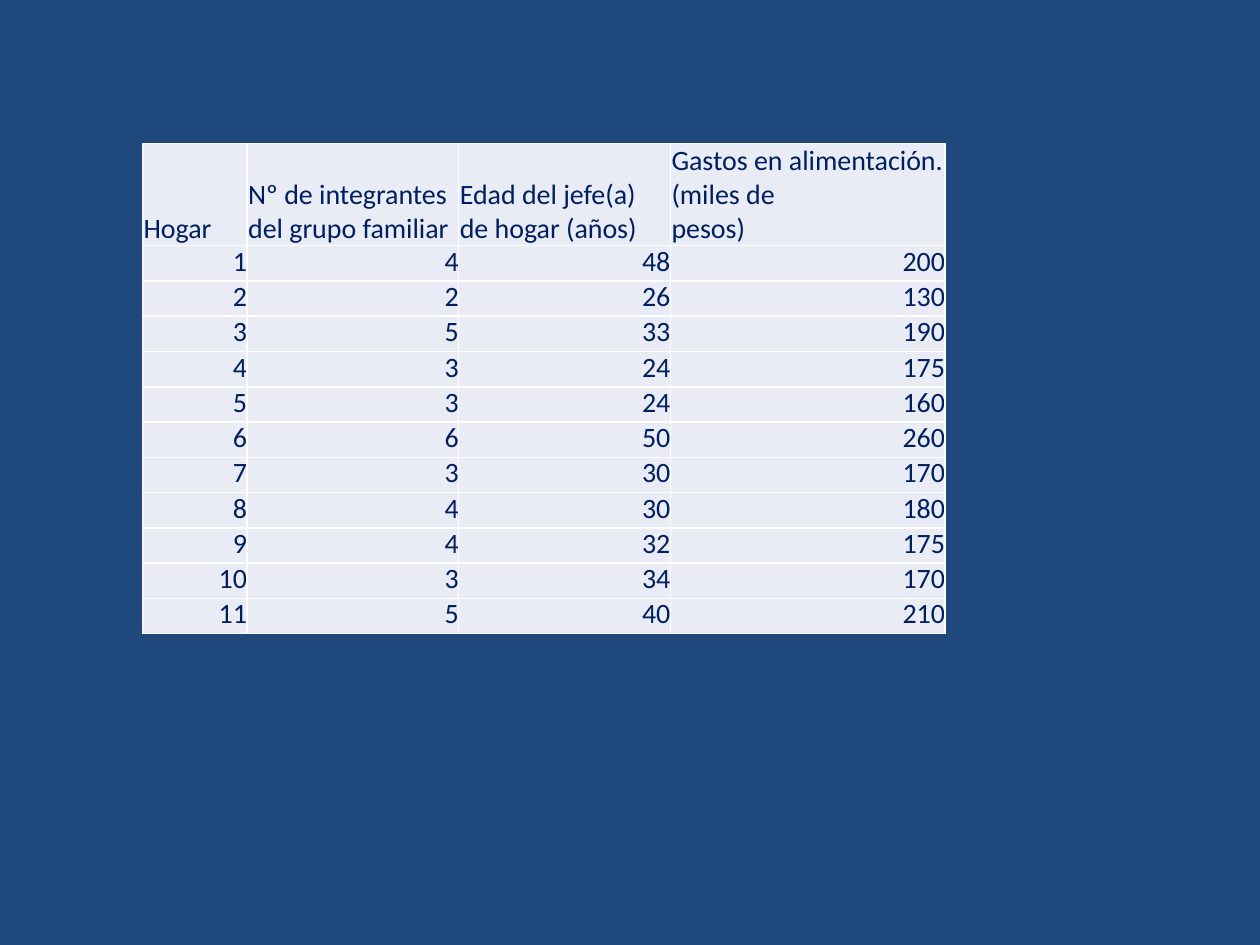
import pptx
import pptx.util
import pptx.dml.color
import pptx.enum.text
import pptx.oxml
import pptx.oxml.ns

Inches = pptx.util.Inches
Pt = pptx.util.Pt
RGBColor = pptx.dml.color.RGBColor
Align = pptx.enum.text.PP_ALIGN
Anchor = pptx.enum.text.MSO_ANCHOR

BLUE = RGBColor(0x1F, 0x48, 0x7C)
NAVY = RGBColor(0x00, 0x1F, 0x5F)
PALE = RGBColor(0xE9, 0xEC, 0xF4)
WHITE = RGBColor(0xFF, 0xFF, 0xFF)

WIDTHS = [0.83, 1.68, 1.68, 2.18]
HEAD_H, ROW_H = 0.81, 0.28
HEADS = [
    ["Hogar"],
    ["Nº de integrantes", "del grupo familiar"],
    ["Edad del jefe(a)", "de hogar (años)"],
    ["Gastos en alimentación.(miles de", "pesos)"],
]
# Members, age of the head of household, food spending
HOMES = [
    (4, 48, 200), (2, 26, 130), (5, 33, 190), (3, 24, 175),
    (3, 24, 160), (6, 50, 260), (3, 30, 170), (4, 30, 180),
    (4, 32, 175), (3, 34, 170), (5, 40, 210),
]


def add_edges(cell):
    """Give all four sides of the cell a thin white line."""
    props = cell._tc.get_or_add_tcPr()
    for side in ("lnL", "lnR", "lnT", "lnB"):
        props.append(pptx.oxml.parse_xml(
            f'<a:{side} {pptx.oxml.ns.nsdecls("a")} w="{Pt(1)}">'
            f'<a:solidFill><a:srgbClr val="{WHITE}"/></a:solidFill>'
            f'</a:{side}>'))


def fill_cell(cell, lines, align, anchor, pitch, left=0):
    add_edges(cell)
    cell.fill.solid()
    cell.fill.fore_color.rgb = PALE
    cell.margin_left = Inches(left)
    cell.margin_right = cell.margin_top = cell.margin_bottom = 0
    cell.vertical_anchor = anchor
    frame = cell.text_frame
    frame.text = "\n".join(lines)
    for para in frame.paragraphs:
        para.alignment = align
        para.line_spacing = Pt(pitch)
        para.font.name = "Calibri"
        para.font.size = Pt(16)
        para.font.bold = False
        para.font.color.rgb = NAVY


def add_homes(slide):
    count = len(HOMES) + 1
    height = HEAD_H + ROW_H * len(HOMES)
    table = slide.shapes.add_table(
        count, len(WIDTHS), Inches(1.13), Inches(1.14),
        Inches(sum(WIDTHS)), Inches(height)).table
    table.horz_banding = False
    for col, width in zip(table.columns, WIDTHS):
        col.width = Inches(width)
    for index, row in enumerate(table.rows):
        row.height = Inches(ROW_H if index else HEAD_H)
    for col, lines in enumerate(HEADS):
        fill_cell(table.cell(0, col), lines, Align.LEFT, Anchor.BOTTOM,
                  19.2, left=0.01)
    for number, home in enumerate(HOMES, 1):
        for col, value in enumerate((number, *home)):
            fill_cell(table.cell(number, col), [str(value)], Align.RIGHT,
                      Anchor.TOP, 18.9)


def main():
    deck = pptx.Presentation()
    deck.slide_width, deck.slide_height = Inches(10), Inches(7.5)
    slide = deck.slides.add_slide(deck.slide_layouts[6])
    slide.background.fill.solid()
    slide.background.fill.fore_color.rgb = BLUE
    add_homes(slide)
    deck.save("out.pptx")


if __name__ == "__main__":
    main()
